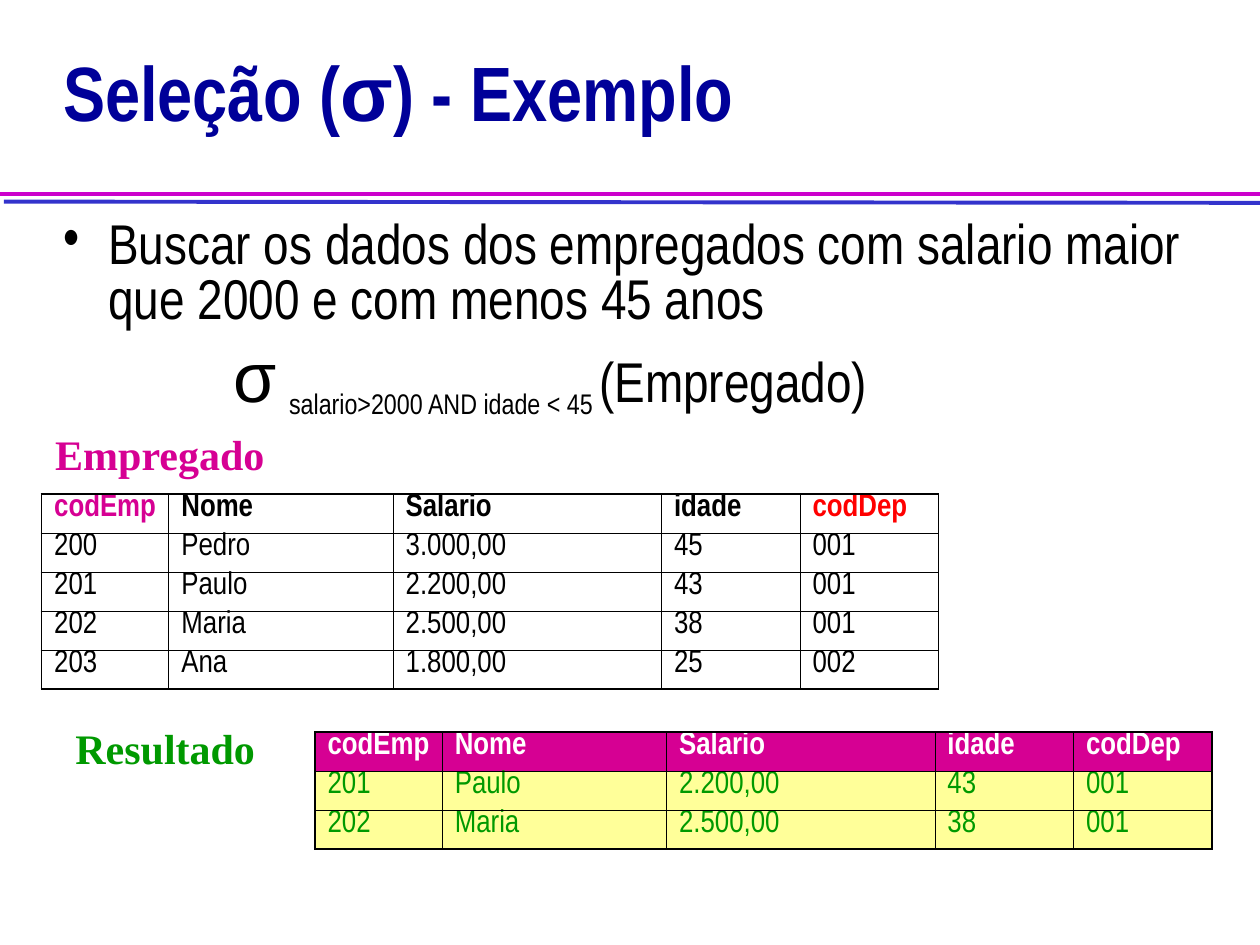
import pptx
import pptx.dml.color
import pptx.enum.shapes
import pptx.enum.text
import pptx.oxml
import pptx.oxml.ns
import pptx.util
from pptx.util import Inches

NARROW, SERIF = "Arial Narrow", "Times New Roman"
BLACK, WHITE, PINK, GREEN, RED = "000000", "FFFFFF", "D60093", "009900", "FF0000"
NAVY, MAGENTA, BLUE, YELLOW = "000099", "CC00CC", "3333CC", "FFFF99"

# Content: runs are (text, font, size, baseline shift in percent)
TITLE = [("Seleção (", NARROW, 44, 0), ("σ", "Arial", 44, 0), (") - Exemplo", NARROW, 44, 0)]
QUESTION = [("Buscar os dados dos empregados com salario maior que 2000 e com menos 45 anos",
             NARROW, 32, 0)]
FORMULA = [("σ", "Arial", 40, 0), (" ", NARROW, 32, 0),
           ("salario>2000 AND idade < 45 ", NARROW, 28, -25), ("(Empregado)", NARROW, 32, 0)]
RULES = [((0, 1.54), (10, 1.54), MAGENTA), ((0.03, 1.6), (10, 1.61), BLUE)]
HEADER = ["codEmp", "Nome", "Salario", "idade", "codDep"]
EMPLOYEES = [
    ["200", "Pedro", "3.000,00", "45", "001"],
    ["201", "Paulo", "2.200,00", "43", "001"],
    ["202", "Maria", "2.500,00", "38", "001"],
    ["203", "Ana", "1.800,00", "25", "002"],
]
RESULT = EMPLOYEES[1:3]
LABELS = [("Empregado", 0.34, 3.5, 1.86, PINK), ("Resultado", 0.5, 5.83, 1.64, GREEN)]
COLUMN_WIDTHS = [1.01, 1.78, 2.13, 1.1, 1.1]
ROW_HEIGHT = 0.31
OUTER, INNER = 1.08, 0.45  # border widths in points


def rgb(color):
    return pptx.dml.color.RGBColor.from_string(color)


def add_run(paragraph, text, font, size, color, bold=False, baseline=0):
    run = paragraph.add_run()
    run.text = text
    run.font.name, run.font.size, run.font.bold = font, pptx.util.Pt(size), bold
    run.font.color.rgb = rgb(color)
    if baseline:
        run.font._element.set("baseline", str(baseline * 1000))


def add_text_frame(slide, left, top, width, height, inset=(0, 0), wrap=True):
    box = slide.shapes.add_textbox(Inches(left), Inches(top), Inches(width), Inches(height))
    frame = box.text_frame
    frame.word_wrap = wrap
    frame.margin_left = frame.margin_right = Inches(inset[0])
    frame.margin_top = frame.margin_bottom = Inches(inset[1])
    return frame


def fill_paragraph(paragraph, runs, color, bold=False):
    paragraph.line_spacing = 0.82
    for text, font, size, baseline in runs:
        add_run(paragraph, text, font, size, color, bold, baseline)


def indent(paragraph, left, first, bullet=None):
    properties = paragraph._p.get_or_add_pPr()
    properties.set("marL", str(Inches(left)))
    properties.set("indent", str(Inches(first)))
    if bullet:
        namespace = pptx.oxml.ns.nsdecls("a")
        for markup in (f'<a:buFont {namespace} typeface="{NARROW}"/>',
                       f'<a:buChar {namespace} char="{bullet}"/>'):
            properties.append(pptx.oxml.parse_xml(markup))


def set_borders(cell, widths):
    for side, width in widths.items():
        cell._tc.get_or_add_tcPr().append(pptx.oxml.parse_xml(
            f'<a:ln{side} {pptx.oxml.ns.nsdecls("a")} w="{pptx.util.Pt(width)}">'
            f'<a:solidFill><a:srgbClr val="{BLACK}"/></a:solidFill></a:ln{side}>'))


def add_grid(slide, left, top, rows, header_colors, body_color, header_fill=None, body_fill=None):
    cells = [HEADER] + rows
    last_row, last_column = len(cells) - 1, len(HEADER) - 1
    table = slide.shapes.add_table(
        len(cells), len(HEADER), Inches(left), Inches(top),
        Inches(sum(COLUMN_WIDTHS)), Inches(ROW_HEIGHT * len(cells))).table
    table.first_row = table.horz_banding = False
    for column, width in zip(table.columns, COLUMN_WIDTHS):
        column.width = Inches(width)
    for r, texts in enumerate(cells):
        table.rows[r].height = Inches(ROW_HEIGHT)
        for c, text in enumerate(texts):
            cell = table.cell(r, c)
            edges = {"L": c == 0, "R": c == last_column, "T": r == 0, "B": r == last_row}
            set_borders(cell, {side: OUTER if edge else INNER for side, edge in edges.items()})
            fill = body_fill if r else header_fill
            if fill:
                cell.fill.solid()
                cell.fill.fore_color.rgb = rgb(fill)
            else:
                cell.fill.background()
            paragraph = cell.text_frame.paragraphs[0]
            paragraph.line_spacing = 0.69
            add_run(paragraph, text, NARROW, 18, body_color if r else header_colors[c], r == 0)


def main():
    presentation = pptx.Presentation()
    presentation.slide_width, presentation.slide_height = Inches(10), Inches(7.5)
    slide = presentation.slides.add_slide(presentation.slide_layouts[6])

    # Double rule under the title
    for start, end, color in RULES:
        rule = slide.shapes.add_connector(
            pptx.enum.shapes.MSO_CONNECTOR.STRAIGHT, *map(Inches, start + end))
        rule.line.color.rgb = rgb(color)
        rule.line.width = pptx.util.Pt(2.25)
        rule._element.spPr.append(pptx.oxml.parse_xml(
            f'<a:effectLst {pptx.oxml.ns.nsdecls("a")}/>'))

    # Title
    title = add_text_frame(slide, 0.5, 0.16, 8.99, 1.25)
    title.vertical_anchor = pptx.enum.text.MSO_ANCHOR.MIDDLE
    fill_paragraph(title.paragraphs[0], TITLE, NAVY, bold=True)

    # Question and selection formula
    body = add_text_frame(slide, 0.5, 1.75, 8.99, 1.7)
    question = body.paragraphs[0]
    indent(question, 0.36, -0.36, "•")
    fill_paragraph(question, QUESTION, BLACK)
    formula = body.add_paragraph()
    indent(formula, 1.35, 0)
    formula.space_before = pptx.util.Pt(8)
    fill_paragraph(formula, FORMULA, BLACK)

    # Source and result tables
    add_grid(slide, 0.33, 3.92, EMPLOYEES, [PINK, BLACK, BLACK, BLACK, RED], BLACK)
    add_grid(slide, 2.5, 5.81, RESULT, [WHITE] * len(HEADER), GREEN, PINK, YELLOW)

    # Table labels, each kept on one line
    for text, left, top, width, color in LABELS:
        label = add_text_frame(slide, left, top, width, 0.33, (0.1, 0.05), wrap=False)
        label.auto_size = pptx.enum.text.MSO_AUTO_SIZE.SHAPE_TO_FIT_TEXT
        label.paragraphs[0].line_spacing = 0.58
        add_run(label.paragraphs[0], text, SERIF, 24, color, bold=True)

    presentation.save("out.pptx")


if __name__ == "__main__":
    main()
